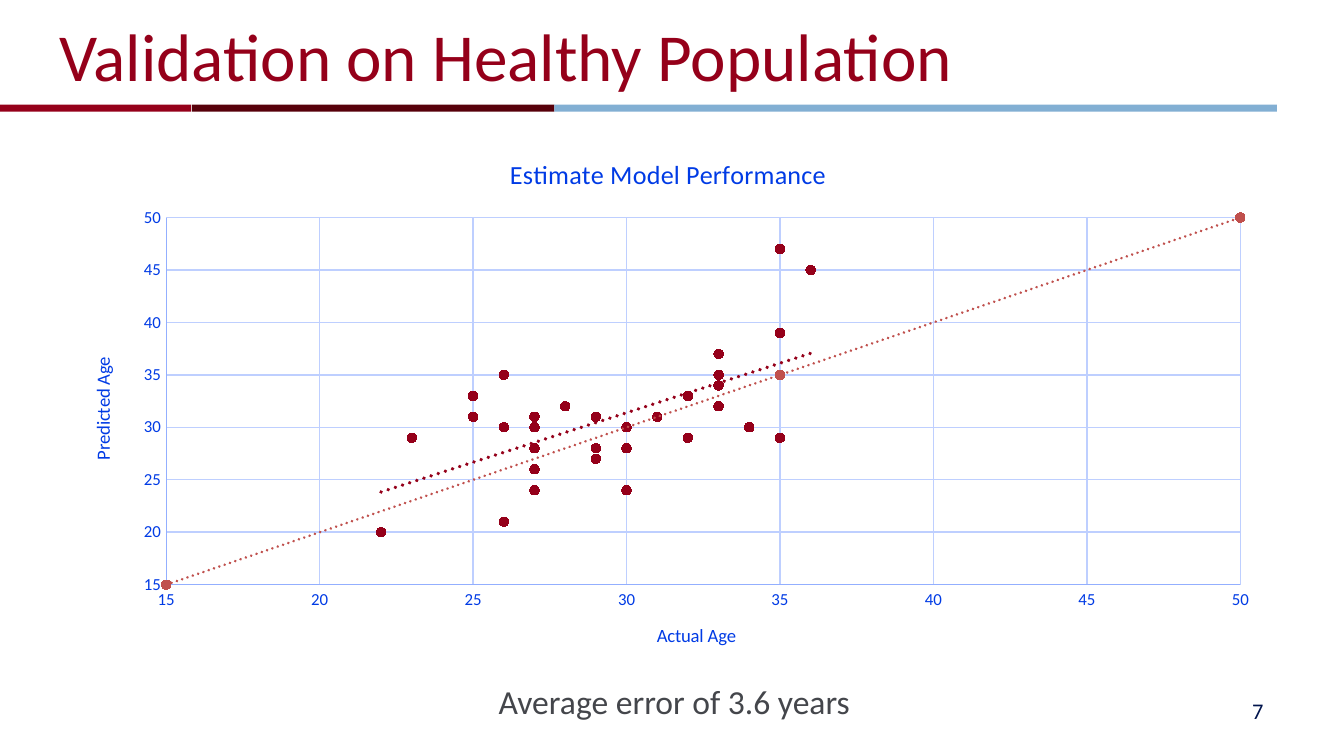
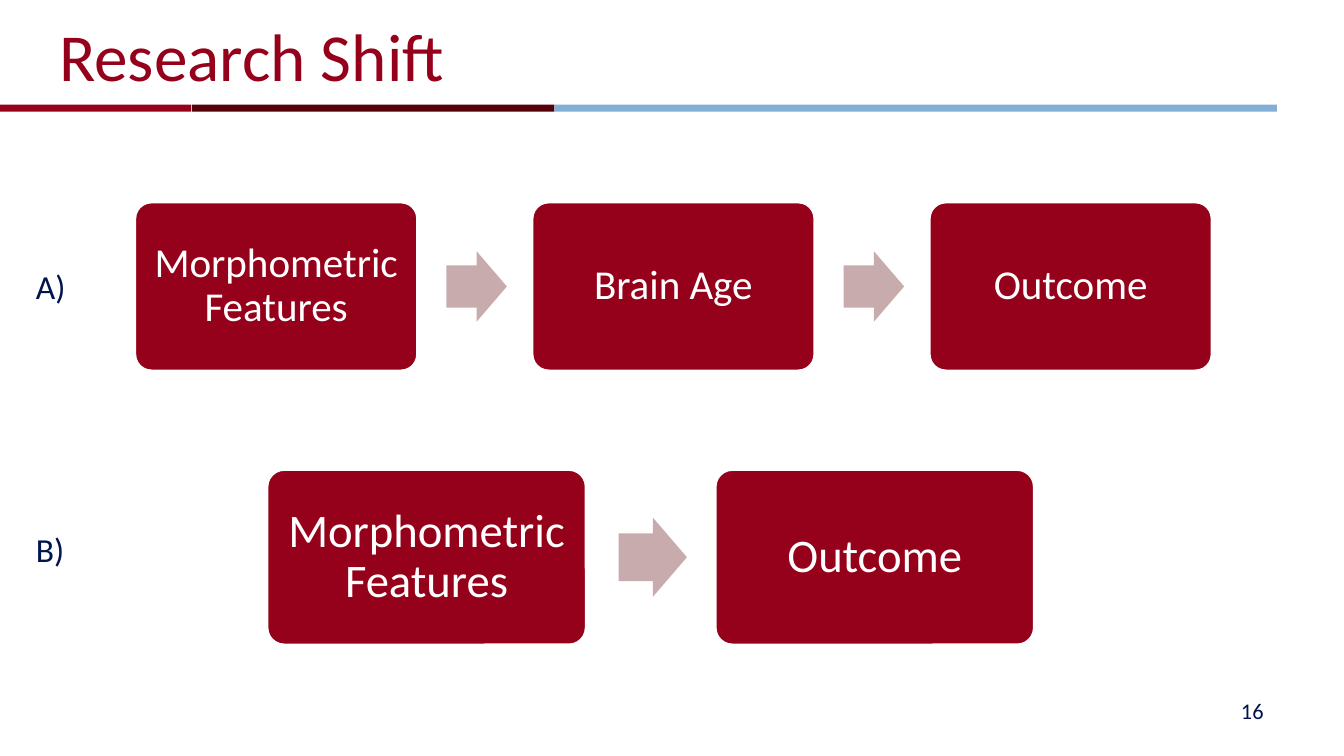
from lxml.etree import SubElement
from pptx import Presentation
from pptx.chart.data import XyChartData
from pptx.dml.color import RGBColor
from pptx.enum.chart import XL_CHART_TYPE, XL_MARKER_STYLE, XL_TICK_MARK
from pptx.enum.shapes import MSO_SHAPE
from pptx.enum.text import MSO_ANCHOR, MSO_AUTO_SIZE, PP_ALIGN
from pptx.oxml import parse_xml
from pptx.oxml.ns import nsdecls, qn
from pptx.util import Pt

FONT = "Calibri"
COLORS = {
    "crimson": "95001A",
    "maroon": "57000A",
    "sky": "82AFD3",
    "navy": "00144D",
    "gray": "44464B",
    "white": "FFFFFF",
    "arrow": "C8ABAC",
    "chart_text": "003BE5",
    "axis": "93AFFF",
    "grid": "BECFFF",
    "identity": "C0504D",
}

# Color, left and width of each piece of the rule under the title
BANDS = [("crimson", -0.5, 103), ("maroon", 102.8, 194.2), ("sky", 297, 387)]

ACTUAL_AGES = [33, 27, 35, 29, 26, 30, 30, 30, 25, 32, 26, 36, 29, 31, 27, 34,
               33, 28, 26, 25, 35, 27, 35, 27, 23, 32, 33, 33, 29, 27, 22]
PREDICTED_AGES = [35, 31, 47, 28, 21, 24, 28, 30, 31, 29, 30, 45, 31, 31, 30, 30,
                  34, 32, 35, 33, 39, 26, 29, 28, 29, 33, 32, 37, 27, 24, 20]
IDENTITY_AGES = [15, 35, 50]


def rgb(name):
    return RGBColor.from_string(COLORS[name])


def style_font(font, size, color):
    font.name = FONT
    font.size = Pt(size)
    font.bold = False
    font.color.rgb = rgb(color)


def write(frame, text, size, color, align=PP_ALIGN.LEFT, anchor=MSO_ANCHOR.TOP):
    frame.word_wrap = True
    frame.vertical_anchor = anchor
    paragraph = frame.paragraphs[0]
    paragraph.alignment = align
    run = paragraph.add_run()
    run.text = text
    style_font(run.font, size, color)
    return paragraph


def add_label(slide, text, left, top, width, height, size, color, **layout):
    label = slide.shapes.add_textbox(Pt(left), Pt(top), Pt(width), Pt(height))
    return write(label.text_frame, text, size, color, **layout)


def add_block(slide, kind, left, top, width, height, color):
    block = slide.shapes.add_shape(kind, Pt(left), Pt(top), Pt(width), Pt(height))
    block.shadow.inherit = False
    block.fill.solid()
    block.fill.fore_color.rgb = rgb(color)
    block.line.fill.background()
    return block


def add_titled_slide(deck, heading, number):
    slide = deck.slides.add_slide(deck.slide_layouts[5])
    for color, left, width in BANDS:
        add_block(slide, MSO_SHAPE.RECTANGLE, left, 56, width, 3.8, color)

    # Title
    title = slide.shapes.title
    title.left, title.top, title.width, title.height = Pt(24.5), Pt(1.5), Pt(648), Pt(55)
    title.text_frame.auto_size = MSO_AUTO_SIZE.NONE
    write(title.text_frame, heading, 36, "crimson", anchor=MSO_ANCHOR.MIDDLE)

    # Page number
    add_label(slide, number, 516, 370, 168, 21.6, 12, "navy",
              align=PP_ALIGN.RIGHT, anchor=MSO_ANCHOR.MIDDLE)
    return slide


def write_chart_title(title, text, size):
    run = title.text_frame.paragraphs[0].add_run()
    run.text = text
    style_font(run.font, size, "chart_text")


def style_axis(axis, caption):
    axis.minimum_scale, axis.maximum_scale, axis.major_unit = 15, 50, 5
    axis.major_tick_mark = axis.minor_tick_mark = XL_TICK_MARK.NONE
    axis.has_major_gridlines = True
    for line, color in ((axis.format.line, "axis"),
                        (axis.major_gridlines.format.line, "grid")):
        line.color.rgb = rgb(color)
        line.width = Pt(0.75)
    style_font(axis.tick_labels.font, 9, "chart_text")
    axis.tick_labels.number_format = "0"
    axis.tick_labels.number_format_is_linked = False
    write_chart_title(axis.axis_title, caption, 10)


def style_series(series, color, trend_width):
    series.format.line.fill.background()
    series.marker.style = XL_MARKER_STYLE.CIRCLE
    series.marker.size = 5
    series.marker.format.fill.solid()
    series.marker.format.fill.fore_color.rgb = rgb(color)
    series.marker.format.line.color.rgb = rgb(color)

    # Dotted linear trend, placed before the x values
    trend = parse_xml(
        f'<c:trendline {nsdecls("c", "a")}><c:spPr>'
        f'<a:ln w="{Pt(trend_width)}" cap="rnd"><a:solidFill>'
        f'<a:srgbClr val="{COLORS[color]}"/></a:solidFill>'
        '<a:prstDash val="sysDot"/></a:ln></c:spPr>'
        '<c:trendlineType val="linear"/><c:dispRSqr val="0"/>'
        '<c:dispEq val="0"/></c:trendline>')
    series._element.find(qn("c:xVal")).addprevious(trend)


def place_plot(chart, **fractions):
    plot_area = chart._chartSpace.chart.plotArea
    for layout in plot_area.findall(qn("c:layout")):
        plot_area.remove(layout)
    layout = parse_xml(f'<c:layout {nsdecls("c")}><c:manualLayout/></c:layout>')
    settings = {"layoutTarget": "inner", "xMode": "edge", "yMode": "edge", **fractions}
    for tag, value in settings.items():
        SubElement(layout[0], qn(f"c:{tag}")).set("val", str(value))
    plot_area.insert(0, layout)


def add_age_chart(slide):
    ages = XyChartData()
    for name, actual, predicted in (("Series 1", ACTUAL_AGES, PREDICTED_AGES),
                                    ("Series 2", IDENTITY_AGES, IDENTITY_AGES)):
        series = ages.add_series(name)
        for x, y in zip(actual, predicted):
            series.add_data_point(x, y)
    chart = slide.shapes.add_chart(XL_CHART_TYPE.XY_SCATTER, Pt(34), Pt(71.5),
                                   Pt(648), Pt(291), ages).chart
    chart.has_legend = False
    style_font(chart.font, 10, "navy")
    chart.has_title = True
    write_chart_title(chart.chart_title, "Estimate Model Performance", 14)
    style_axis(chart.category_axis, "Actual Age")
    style_axis(chart.value_axis, "Predicted Age")
    caption_body = chart.value_axis.axis_title.text_frame._txBody.bodyPr
    caption_body.set("rot", "-5400000")
    caption_body.set("vert", "horz")

    plot = chart.plots[0]
    plot.vary_by_categories = False
    style_series(plot.series[0], "crimson", 2)
    style_series(plot.series[1], "identity", 1.5)
    place_plot(chart, x=0.085, y=0.155, w=0.888, h=0.676)


def add_process(slide, steps, left, top, width, height, size, inset):
    """Draw a row of step boxes with an arrow in each gap."""
    arrow_width, arrow_height = 0.213 * width, 0.248 * width
    for index, step in enumerate(steps):
        step_left = left + index * 1.4 * width
        box = add_block(slide, MSO_SHAPE.ROUNDED_RECTANGLE,
                        step_left, top, width, height, "crimson")
        box.adjustments[0] = 0.1
        box.line.color.rgb = rgb("white")
        box.line.width = Pt(2)
        frame = box.text_frame
        frame.margin_left = frame.margin_right = Pt(inset)
        frame.margin_top = frame.margin_bottom = Pt(inset)
        write(frame, step, size, "white", PP_ALIGN.CENTER,
              MSO_ANCHOR.MIDDLE).line_spacing = 0.9
        if index < len(steps) - 1:
            arrow = add_block(slide, MSO_SHAPE.RIGHT_ARROW, step_left + 1.1 * width,
                              top + (height - arrow_height) / 2,
                              arrow_width, arrow_height, "arrow")
            arrow.adjustments[0], arrow.adjustments[1] = 0.6, 0.5


def main():
    deck = Presentation()
    deck.slide_width, deck.slide_height = Pt(720), Pt(405)

    # Validation chart
    validation = add_titled_slide(deck, "Validation on Healthy Population", "7")
    add_age_chart(validation)
    finding = add_label(validation, "Average error of 3.6 years",
                        260, 361.5, 586, 84, 18, "gray")
    finding.space_before = Pt(3.6)

    # Two research pathways
    shift = add_titled_slide(deck, "Research Shift", "16")
    add_process(shift, ["Morphometric Features", "Brain Age", "Outcome"],
                72, 108, 152, 91, 22, 6.5)
    add_process(shift, ["Morphometric Features", "Outcome"],
                142.8, 251.3, 171.5, 94.5, 25, 7)
    for letter, top in (("A)", 139), ("B)", 280)):
        add_label(shift, letter, 12.2, top, 49, 29, 18, "navy")

    deck.save("out.pptx")


if __name__ == "__main__":
    main()
